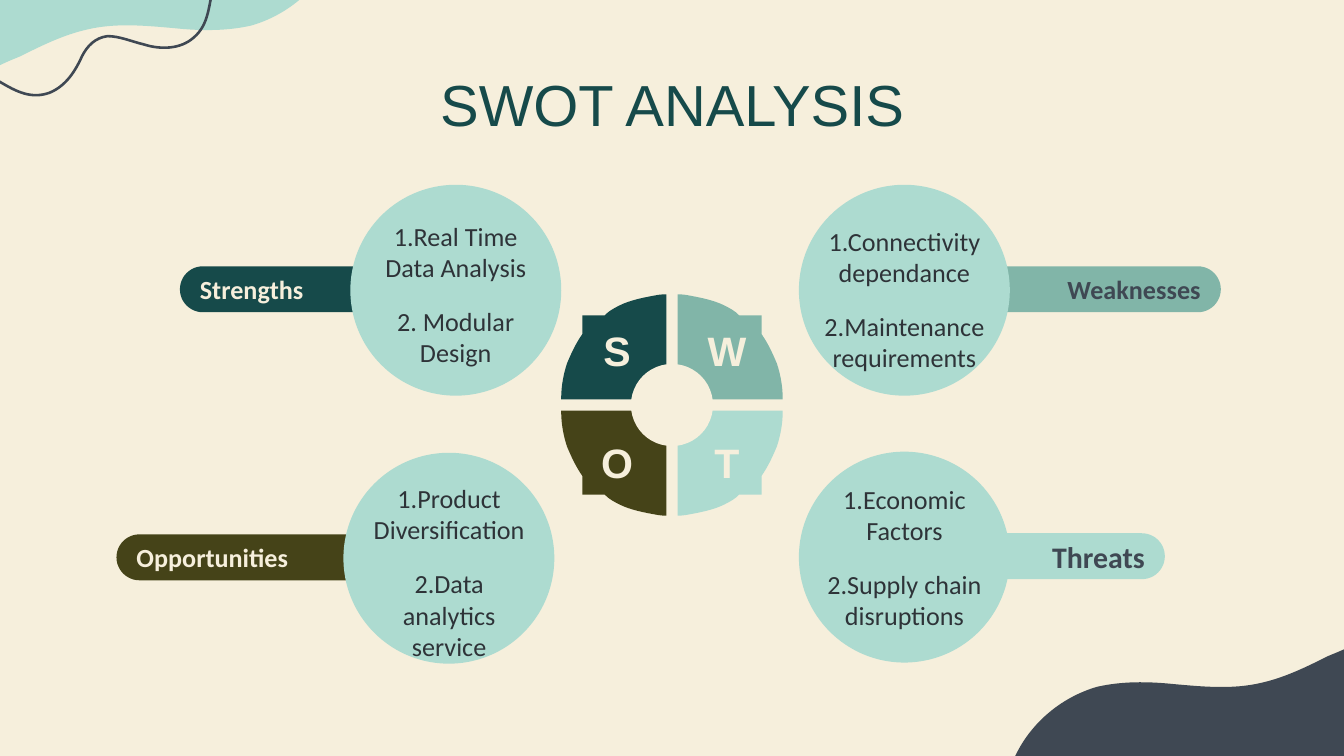
from lxml.etree import SubElement
from pptx import Presentation
from pptx.dml.color import RGBColor
from pptx.enum.shapes import MSO_SHAPE as Shape
from pptx.enum.text import MSO_ANCHOR as Anchor, MSO_AUTO_SIZE as AutoSize, PP_ALIGN as Align
from pptx.oxml.ns import qn
from pptx.util import Pt

CREAM = RGBColor(0xF6, 0xEF, 0xDC)
MINT = RGBColor(0xAD, 0xDB, 0xD0)
SAGE = RGBColor(0x81, 0xB5, 0xA8)
TEAL = RGBColor(0x16, 0x4A, 0x4A)
OLIVE = RGBColor(0x45, 0x43, 0x18)
SLATE = RGBColor(0x3F, 0x48, 0x53)
INK = RGBColor(0x2E, 0x33, 0x38)

TITLE = "SWOT ANALYSIS"
# side: -1 left or above the wheel centre, 1 right or below
TOPICS = [
    dict(name="Strengths", side=(-1, -1), fill=TEAL, ink=CREAM, size=14,
         circle=(187.7, 99), tag=(96.4, 127), box=(197, 109.4, 94.3, 96.5),
         points=["1.Real Time Data Analysis", "2. Modular Design"]),
    dict(name="Weaknesses", side=(1, -1), fill=SAGE, ink=SLATE, size=14,
         circle=(428, 99), tag=(506, 148), box=(437.4, 105.6, 94.3, 109.4),
         points=["1.Connectivity dependance", "2.Maintenance requirements"]),
    dict(name="Opportunities", side=(-1, 1), fill=OLIVE, ink=CREAM, size=14,
         circle=(184, 242.6), tag=(62.4, 157), box=(196, 255.4, 89.3, 102.2),
         points=["1.Product Diversification", "2.Data analytics service"]),
    dict(name="Threats", side=(1, 1), fill=MINT, ink=SLATE, size=16,
         circle=(428, 242), tag=(506, 118), box=(437.4, 242, 94.3, 113),
         points=["1.Economic Factors", "2.Supply chain disruptions"]),
]
CENTRE_X, CENTRE_Y = 360, 217
CIRCLE, HUB, TAG_HEIGHT = 113, 44, 24.6

# Outlines: two numbers are a straight step, six are a Bezier curve
QUADRANT = [
    (3, 59.3), (4.3, 59.3, 5.8, 59.2, 7.2, 59), (15.1, 57.6, 22.3, 56.2, 28.1, 53.3),
    (31, 51.8, 33.8, 50.4, 36, 48), (48, 48), (48, 38), (51.8, 32.5, 54, 27.4, 56.2, 22.3),
    (59.8, 11.5, 59.3, 3, 59.3, 3), (3, 3)]
WAVE = [
    (-100, -26.6), (-100.8, -15.1, -99.4, -4.3, -95, 5.8), (-88.6, 20.9, -74.2, 32.4, -59, 37.4),
    (-56.9, 38.2, -55.4, 38.9, -53.3, 38.9), (-35.3, 43.2, -16.6, 41, 0.7, 34.6),
    (3.6, 33.1, 7.2, 31.7, 10.8, 30.2), (22.3, 24.5, 33.8, 18.7, 46.8, 15.8),
    (61.9, 12.2, 77.8, 13.7, 93.6, 15.1), (108, 16.6, 121.7, 16.6, 134.6, 13.7),
    (154.8, 7.9, 172.1, -7.2, 180, -26.6)]
SQUIGGLE = [
    (138.2, -38.2), (136.8, -36.7, 134.6, -36, 133.2, -34.6),
    (123.8, -28.1, 117.4, -18, 114.5, -7.2), (111.6, 2.2, 112.3, 13, 103.7, 20.2),
    (96.5, 26.6, 85.7, 26.6, 77, 23.8), (70.6, 22.3, 64.1, 19.4, 57.6, 19.4),
    (51.1, 20.2, 46.8, 24.5, 43.9, 30.2), (40.3, 38.2, 35.3, 46.1, 26.6, 49.7),
    (16.6, 53.3, 8.6, 49, 0, 43.9), (-10.1, 36.7, -23, 33.1, -35.3, 38.2),
    (-46.1, 41.8, -55.4, 50.4, -59, 61.9)]


def bend(shape, parts):
    """Turn the straight steps of a freeform into the Bezier curves of its outline."""
    steps = list(shape._element.iter(qn("a:lnTo")))
    for step, part in zip(steps, parts):
        if len(part) == 6:
            step.tag = qn("a:cubicBezTo")
            for index, (x, y) in enumerate((part[:2], part[2:4])):
                point = step.makeelement(qn("a:pt"), {"x": str(x - shape.left),
                                                      "y": str(y - shape.top)})
                step.insert(index, point)


def add_outline(slide, outline, color, origin=(0, 0), flip=(1, 1), closed=True):
    parts = [tuple(Pt(origin[i % 2] + flip[i % 2] * value) for i, value in enumerate(part))
             for part in outline]
    builder = slide.shapes.build_freeform(*parts[0], scale=1.0)
    builder.add_line_segments([part[-2:] for part in parts[1:]], close=closed)
    shape = builder.convert_to_shape()
    bend(shape, parts[1:])
    shape.shadow.inherit = False
    if closed:
        shape.fill.solid()
        shape.fill.fore_color.rgb = color
        shape.line.fill.background()
    else:
        shape.fill.background()
        shape.line.color.rgb = color
        shape.line.width = Pt(1.4)


def add_filled(slide, kind, left, top, width, height, color):
    shape = slide.shapes.add_shape(kind, Pt(left), Pt(top), Pt(width), Pt(height))
    shape.shadow.inherit = False
    shape.fill.solid()
    shape.fill.fore_color.rgb = color
    shape.line.fill.background()
    return shape


def write(shape, lines, size, color, font="Calibri", bold=False, align=Align.CENTER,
          inset=0, after=0):
    frame = shape.text_frame
    frame.word_wrap = True
    frame.auto_size = AutoSize.NONE
    frame.vertical_anchor = Anchor.MIDDLE
    frame.margin_left = frame.margin_right = frame.margin_top = frame.margin_bottom = Pt(inset)
    for index, line in enumerate(lines):
        paragraph = frame.add_paragraph() if index else frame.paragraphs[0]
        paragraph.alignment = align
        paragraph.space_before, paragraph.space_after = Pt(0), Pt(after)
        properties = paragraph._p.get_or_add_pPr()
        properties.set("marL", "0")
        properties.set("indent", "0")
        SubElement(properties, qn("a:buNone"))
        run = paragraph.add_run()
        run.text = line
        run.font.name, run.font.size, run.font.bold = font, Pt(size), bold
        run.font.color.rgb = color


def place(slide, placeholder, left, top, width, height):
    """Move a placeholder and bring it to the front."""
    placeholder.left, placeholder.top = Pt(left), Pt(top)
    placeholder.width, placeholder.height = Pt(width), Pt(height)
    slide.shapes._spTree.append(placeholder._element)


def add_quadrant(slide, topic):
    side_x, side_y = topic["side"]
    add_outline(slide, QUADRANT, topic["fill"], (CENTRE_X, CENTRE_Y), topic["side"])
    letter = slide.shapes.add_textbox(Pt(CENTRE_X + 29.4 * side_x - 20.5),
                                      Pt(CENTRE_Y + 30.2 * side_y - 17.4), Pt(41), Pt(36))
    write(letter, [topic["name"][0]], 22, CREAM, font="Arial", bold=True, inset=7.2)


def add_topic(slide, topic, body):
    left, top = topic["circle"]
    tag_left, tag_width = topic["tag"]
    tag = add_filled(slide, Shape.ROUNDED_RECTANGLE, tag_left, top + (CIRCLE - TAG_HEIGHT) / 2 - 0.5,
                     tag_width, TAG_HEIGHT, topic["fill"])
    tag.adjustments[0] = 0.5
    align = Align.LEFT if topic["side"][0] < 0 else Align.RIGHT
    write(tag, [topic["name"]], topic["size"], topic["ink"], bold=True, align=align, inset=7.2)
    add_filled(slide, Shape.OVAL, left, top, CIRCLE, CIRCLE, MINT)
    place(slide, body, *topic["box"])
    write(body, topic["points"], 14, INK, after=12)


def main():
    presentation = Presentation()
    presentation.slide_width, presentation.slide_height = Pt(720), Pt(405)
    comparison = presentation.slide_layouts[4]
    slide = presentation.slides.add_slide(comparison)
    slide.background.fill.solid()
    slide.background.fill.fore_color.rgb = CREAM
    title, *bodies = list(slide.placeholders)

    add_outline(slide, WAVE, MINT)
    add_outline(slide, WAVE, SLATE, origin=(722.5, 381.6), flip=(-1, -1))
    add_outline(slide, SQUIGGLE, SLATE, closed=False)
    place(slide, title, 56, 37.2, 608, 36)
    write(title, [TITLE], 31, TEAL, font="Arial")

    for topic in TOPICS:
        add_quadrant(slide, topic)
    add_filled(slide, Shape.OVAL, CENTRE_X - HUB / 2, CENTRE_Y - HUB / 2, HUB, HUB, CREAM)
    for topic, body in zip(TOPICS, bodies):
        add_topic(slide, topic, body)
    presentation.save("out.pptx")


if __name__ == "__main__":
    main()
